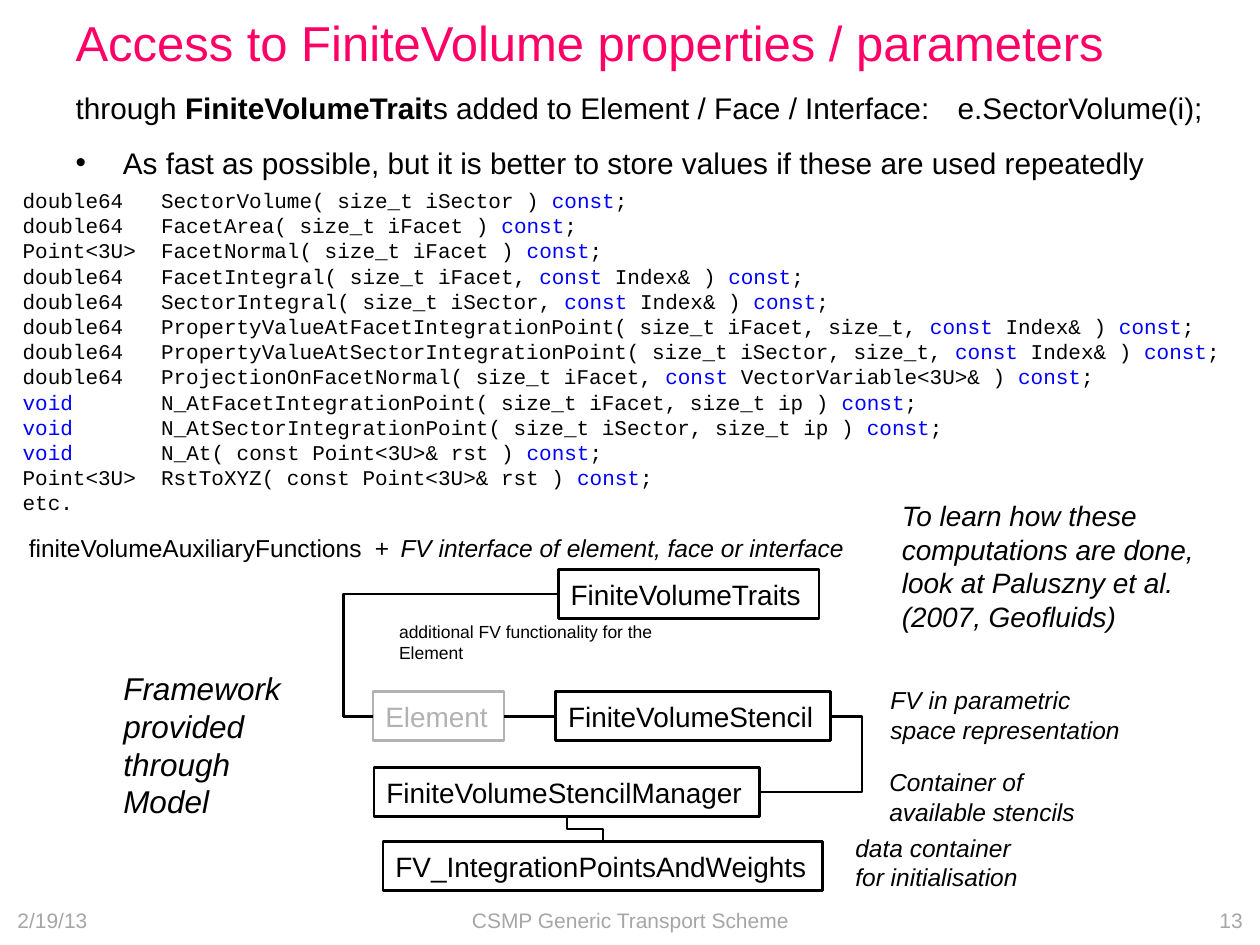
from lxml.etree import SubElement
from pptx import Presentation
from pptx.dml.color import RGBColor
from pptx.enum.shapes import MSO_CONNECTOR, MSO_SHAPE
from pptx.enum.text import MSO_ANCHOR, MSO_AUTO_SIZE, PP_ALIGN
from pptx.oxml.ns import qn
from pptx.util import Pt

COLORS = {"title": "FF0066", "text": "000000", "keyword": "0000FF",
          "muted": "B2B2B2", "footer": "A6A6A6"}
BOX_HEIGHT = 28

SIGNATURES = [
    ("double64", "SectorVolume( size_t iSector )"),
    ("double64", "FacetArea( size_t iFacet )"),
    ("Point<3U>", "FacetNormal( size_t iFacet )"),
    ("double64", "FacetIntegral( size_t iFacet, const Index& )"),
    ("double64", "SectorIntegral( size_t iSector, const Index& )"),
    ("double64", "PropertyValueAtFacetIntegrationPoint( size_t iFacet, size_t, const Index& )"),
    ("double64", "PropertyValueAtSectorIntegrationPoint( size_t iSector, size_t, const Index& )"),
    ("double64", "ProjectionOnFacetNormal( size_t iFacet, const VectorVariable<3U>& )"),
    ("void", "N_AtFacetIntegrationPoint( size_t iFacet, size_t ip )"),
    ("void", "N_AtSectorIntegrationPoint( size_t iSector, size_t ip )"),
    ("void", "N_At( const Point<3U>& rst )"),
    ("Point<3U>", "RstToXYZ( const Point<3U>& rst )"),
]

BOXES = {
    "FiniteVolumeStencil": (317.5, 395.3, 157, "text"),
    "FiniteVolumeStencilManager": (213.8, 438.5, 220.3, "text"),
    "FV_IntegrationPointsAndWeights": (218.9, 481, 251.3, "text"),
    "FiniteVolumeTraits": (319, 325.4, 149, "text"),
    "Element": (213.1, 395.3, 74.9, "muted"),
}

NOTES = [
    ("To learn how these computations are done, look at Paluszny et al. (2007, Geofluids)",
     (508.3, 281.5, 196.6, 85), 16),
    ("Framework provided through Model", (63.4, 378.7, 116, 94.3), 18),
    ("data container for initialisation", (481.7, 472.3, 116, 41), 14),
    ("Container of available stencils", (501.1, 434.9, 147, 41), 14),
    ("FV in parametric space representation", (501.8, 388.1, 147, 41), 14),
    ("FV interface of element, face or interface", (221.8, 301, 283.7, 24.5), 14),
]

FOOTERS = [
    ("2/19/13", 2.9, 167.8, PP_ALIGN.LEFT),
    ("CSMP Generic Transport Scheme", 246.2, 228.2, PP_ALIGN.CENTER),
    ("13", 549.4, 167.8, PP_ALIGN.RIGHT),
]


def color(name):
    return RGBColor.from_string(COLORS[name])


def format_run(run, size, color_name="text", font="Arial", bold=False, italic=False):
    run.font.name = font
    run.font.size = Pt(size)
    run.font.bold = bold
    run.font.italic = italic
    run.font.color.rgb = color(color_name)


def place(shape, left, top, width, height):
    shape.left, shape.top = Pt(left), Pt(top)
    shape.width, shape.height = Pt(width), Pt(height)


def add_tab(paragraph, position):
    tabs = SubElement(paragraph._p.get_or_add_pPr(), qn("a:tabLst"))
    SubElement(tabs, qn("a:tab"), pos=str(Pt(position)), algn="l")


def set_bullet(paragraph, character=None, indent=0):
    properties = paragraph._p.get_or_add_pPr()
    properties.set("marL", str(Pt(indent)))
    properties.set("indent", str(-Pt(indent)))
    if character:
        SubElement(properties, qn("a:buFont"), typeface="Arial")
        SubElement(properties, qn("a:buChar"), char=character)
    else:
        SubElement(properties, qn("a:buNone"))


def add_text(slide, text, bounds, size, color_name="text", italic=False):
    shape = slide.shapes.add_textbox(*map(Pt, bounds))
    shape.text_frame.word_wrap = True
    paragraph = shape.text_frame.paragraphs[0]
    paragraph.text = text
    format_run(paragraph.runs[0], size, color_name, italic=italic)
    return shape


def fill_title(slide):
    title = slide.shapes.title
    place(title, 36, 6.5, 648, 34.6)
    frame = title.text_frame
    frame.text = "Access to FiniteVolume properties / parameters"
    frame.auto_size = MSO_AUTO_SIZE.NONE
    frame.vertical_anchor = MSO_ANCHOR.MIDDLE
    frame.paragraphs[0].alignment = PP_ALIGN.LEFT
    format_run(frame.paragraphs[0].runs[0], 28, "title")


def fill_body(slide):
    body = slide.placeholders[1]
    place(body, 36, 47.5, 662.4, 69.8)
    frame = body.text_frame
    frame.auto_size = MSO_AUTO_SIZE.NONE
    introduction = frame.paragraphs[0]
    set_bullet(introduction)
    add_tab(introduction, 502)
    for text, bold in (("through ", False), ("FiniteVolumeTrait", True),
                       ("s added to Element / Face / Interface:\te.SectorVolume(i);", False)):
        run = introduction.add_run()
        run.text = text
        format_run(run, 17, bold=bold)
    advice = frame.add_paragraph()
    advice.text = ("As fast as possible, but it is better to store values "
                   "if these are used repeatedly")
    set_bullet(advice, "•", 27)
    format_run(advice.runs[0], 17)
    for paragraph, space_before in ((introduction, 0), (advice, 3)):
        paragraph.space_before = Pt(space_before)
        paragraph.space_after = Pt(8)


def signature_runs(return_type, signature):
    head, keyword, tail = signature.partition(", const ")
    runs = [(return_type.ljust(11), "keyword" if return_type == "void" else "text")]
    if keyword:
        runs += [(head + ", ", "text"), ("const ", "keyword"), (tail + " ", "text")]
    else:
        runs.append((head + " ", "text"))
    return runs + [("const", "keyword"), (";", "text")]


def add_code(slide):
    shape = slide.shapes.add_textbox(Pt(5.8), Pt(103.7), Pt(713.5), Pt(196.6))
    frame = shape.text_frame
    frame.word_wrap = True
    lines = [signature_runs(*entry) for entry in SIGNATURES] + [[("etc.", "text")]]
    for index, line in enumerate(lines):
        paragraph = frame.add_paragraph() if index else frame.paragraphs[0]
        for text, color_name in line:
            run = paragraph.add_run()
            run.text = text
            format_run(run, 12, color_name, "Courier New")


def add_box(slide, name, left, top, width, color_name):
    box = slide.shapes.add_shape(MSO_SHAPE.RECTANGLE, Pt(left), Pt(top),
                                 Pt(width), Pt(BOX_HEIGHT))
    box.shadow.inherit = False
    box.fill.background()
    box.line.color.rgb = color(color_name)
    box.line.width = Pt(1.5)
    frame = box.text_frame
    frame.text = name
    frame.word_wrap = False
    frame.paragraphs[0].alignment = PP_ALIGN.LEFT
    format_run(frame.paragraphs[0].runs[0], 16, color_name)
    return box


def add_line(slide, kind, begin=(0, 0), end=(0, 0)):
    line = slide.shapes.add_connector(kind, *map(Pt, begin + end))
    line.line.color.rgb = color("text")
    line.line.width = Pt(1.5)
    SubElement(line._element.spPr, qn("a:effectLst"))
    return line


def add_elbow(slide, begin, end, bend, vertical=False):
    if vertical:
        center_x, center_y = (begin[0] + end[0]) / 2, (begin[1] + end[1]) / 2
        half_x, half_y = (end[0] - begin[0]) / 2, (end[1] - begin[1]) / 2
        begin = (center_x + half_y, center_y - half_x)
        end = (center_x - half_y, center_y + half_x)
    elbow = add_line(slide, MSO_CONNECTOR.ELBOW, begin, end)
    properties = elbow._element.spPr
    if vertical:
        properties.find(qn("a:xfrm")).set("rot", "16200000")
    adjustments = properties.find(qn("a:prstGeom")).find(qn("a:avLst"))
    SubElement(adjustments, qn("a:gd"), name="adj1", fmla=f"val {round(bend * 100000)}")


def add_diagram(slide):
    boxes = {name: add_box(slide, name, *values) for name, values in BOXES.items()}
    link = add_line(slide, MSO_CONNECTOR.STRAIGHT)
    link.begin_connect(boxes["Element"], 3)
    link.end_connect(boxes["FiniteVolumeStencil"], 1)

    def anchor(name, across, down):
        left, top, width, _ = BOXES[name]
        return left + width * across, top + BOX_HEIGHT * down

    add_elbow(slide, anchor("FiniteVolumeTraits", 0, 0.5), anchor("Element", 0, 0.5), 1.16)
    add_elbow(slide, anchor("FiniteVolumeStencil", 1, 0.5),
              anchor("FiniteVolumeStencilManager", 1, 0.5), -0.45)
    add_elbow(slide, anchor("FiniteVolumeStencilManager", 0.5, 1),
              anchor("FV_IntegrationPointsAndWeights", 0.5, 0), 0.5, vertical=True)
    add_text(slide, "additional FV functionality for the Element", (221, 351.4, 190, 19.4), 10)


def add_footer(slide, text, left, width, alignment):
    footer = add_text(slide, text, (left, 511.2, width, 28.8), 12, "footer")
    footer.text_frame.vertical_anchor = MSO_ANCHOR.MIDDLE
    footer.text_frame.paragraphs[0].alignment = alignment


def main():
    presentation = Presentation()
    presentation.slide_width, presentation.slide_height = Pt(720), Pt(540)
    slide = presentation.slides.add_slide(presentation.slide_layouts[1])
    fill_title(slide)
    fill_body(slide)
    add_diagram(slide)
    add_code(slide)
    for text, bounds, size in NOTES:
        add_text(slide, text, bounds, size, italic=True)
    functions = add_text(slide, "finiteVolumeAuxiliaryFunctions\t+", (9.4, 301, 283.7, 24.5), 14)
    add_tab(functions.text_frame.paragraphs[0], 197.7)
    for footer in FOOTERS:
        add_footer(slide, *footer)
    presentation.save("out.pptx")


if __name__ == "__main__":
    main()
